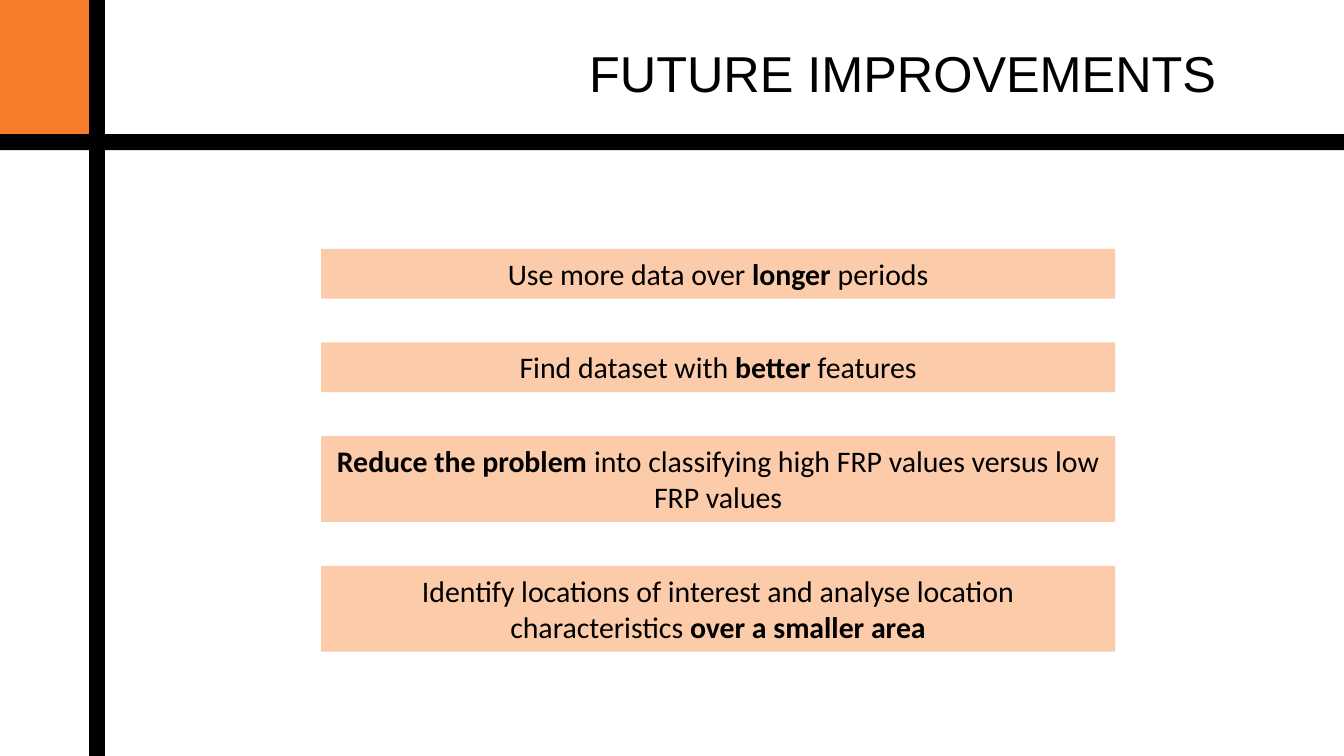
import pptx
import pptx.util
import pptx.dml.color
import pptx.enum.shapes
import pptx.enum.text

Pt = pptx.util.Pt
ALIGN = pptx.enum.text.PP_ALIGN
ANCHOR = pptx.enum.text.MSO_ANCHOR

COLORS = {"orange": "F77C29", "peach": "FCCBA9", "black": "000000"}
SLIDE_W, SLIDE_H = 720, 405

TITLE = "FUTURE IMPROVEMENTS"
# Each improvement: number of lines, then (text, bold) runs
IMPROVEMENTS = [
    (1, [("Use more data over ", False), ("longer", True), (" periods", False)]),
    (1, [("Find dataset with ", False), ("better", True), (" features", False)]),
    (2, [("Reduce the problem ", True),
         ("into classifying high FRP values versus low FRP values", False)]),
    (2, [("Identify locations of interest and analyse location characteristics ", False),
         ("over a smaller area", True)]),
]
# Left, top, width, height, colour
FRAME = [
    (0, 0, 48, 74, "orange"),
    (0, 71.8, SLIDE_W, 8.6, "black"),
    (47.8, 0, 8.5, SLIDE_H, "black"),
]
BOX_LEFT, BOX_TOP, BOX_W, BOX_GAP = 172, 133.4, 425.4, 23.5
BOX_HEIGHTS = {1: 26.6, 2: 46}


def rgb(name):
    return pptx.dml.color.RGBColor.from_string(COLORS[name])


def add_rect(slide, left, top, width, height, color):
    sp = slide.shapes.add_shape(pptx.enum.shapes.MSO_SHAPE.RECTANGLE,
                                Pt(left), Pt(top), Pt(width), Pt(height))
    sp.shadow.inherit = False
    sp.fill.solid()
    sp.fill.fore_color.rgb = rgb(color)
    sp.line.fill.background()
    return sp


def style(p, font, size, align):
    p.alignment = align
    p.font.name = font
    p.font.size = Pt(size)
    p.font.color.rgb = rgb("black")


def add_title(slide):
    sp = slide.shapes.title
    sp.left, sp.top, sp.width, sp.height = Pt(60.5), Pt(29.5), Pt(598.3), Pt(18.7)
    tf = sp.text_frame
    tf.text = TITLE
    tf.word_wrap = True
    tf.auto_size = pptx.enum.text.MSO_AUTO_SIZE.NONE
    tf.vertical_anchor = ANCHOR.MIDDLE
    tf.margin_left = tf.margin_right = tf.margin_top = tf.margin_bottom = Pt(7.2)
    style(tf.paragraphs[0], "Arial", 27, ALIGN.RIGHT)


def add_improvements(slide):
    top = BOX_TOP
    for lines, runs in IMPROVEMENTS:
        height = BOX_HEIGHTS[lines]
        tf = add_rect(slide, BOX_LEFT, top, BOX_W, height, "peach").text_frame
        tf.word_wrap = True
        tf.vertical_anchor = ANCHOR.TOP
        p = tf.paragraphs[0]
        style(p, "Calibri", 16, ALIGN.CENTER)
        for text, bold in runs:
            r = p.add_run()
            r.text = text
            r.font.bold = bold
        top += height + BOX_GAP


def main():
    prs = pptx.Presentation()
    prs.slide_width, prs.slide_height = Pt(SLIDE_W), Pt(SLIDE_H)
    slide = prs.slides.add_slide(prs.slide_layouts[5])
    for bar in FRAME:
        add_rect(slide, *bar)
    add_title(slide)
    add_improvements(slide)
    prs.save("out.pptx")


if __name__ == "__main__":
    main()
